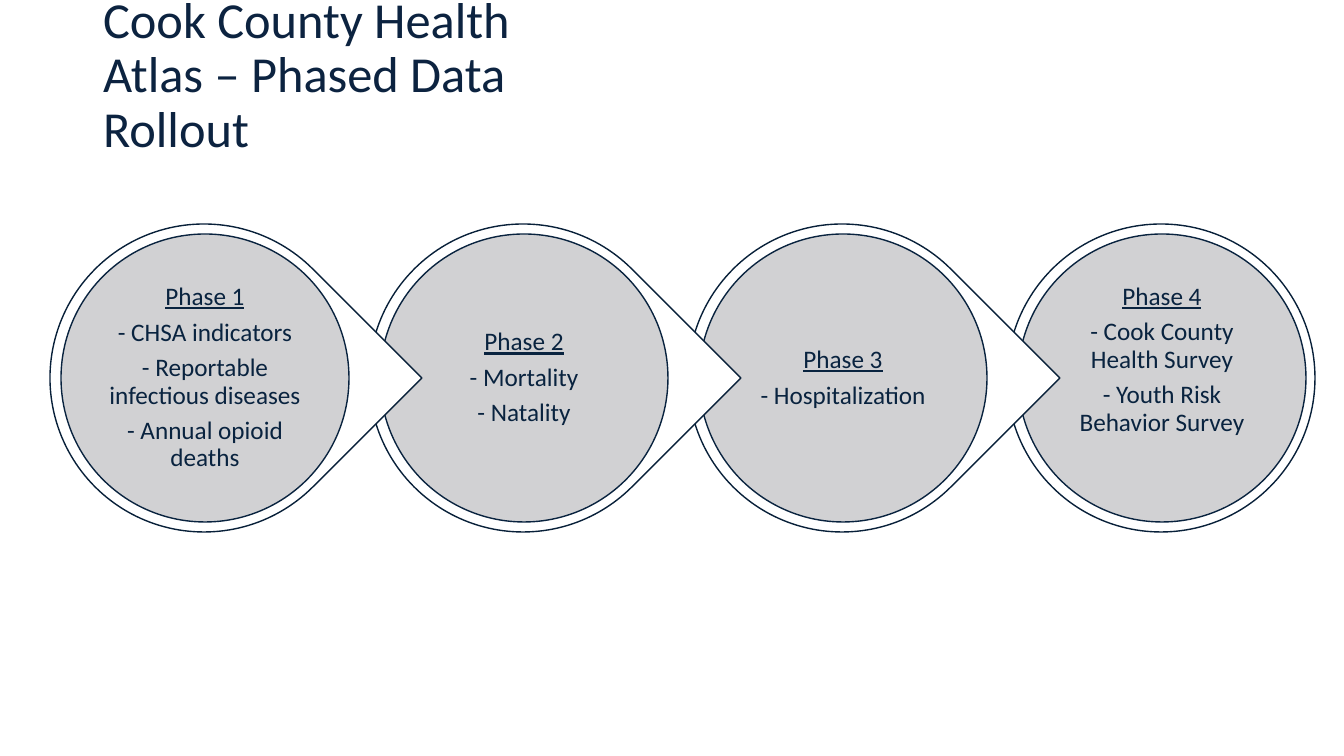
from lxml.etree import SubElement
from pptx import Presentation
from pptx.dml.color import RGBColor
from pptx.enum.shapes import MSO_SHAPE
from pptx.enum.text import MSO_ANCHOR, MSO_AUTO_SIZE, PP_ALIGN
from pptx.oxml.ns import qn
from pptx.util import Emu, Pt

NAVY = RGBColor(0x0C, 0x23, 0x40)
INK = RGBColor(0x09, 0x23, 0x3F)
OUTLINE = RGBColor(0x08, 0x20, 0x39)
GREY = RGBColor(0xCC, 0xCD, 0xCF)
WHITE = RGBColor(0xFF, 0xFF, 0xFF)
FONT = "Calibri"

# Layout in px
SLIDE_W, SLIDE_H = 1344, 756
FIRST_LEFT, PITCH, MIDDLE = 50, 319, 378
HALO, DISC, LABEL = 308, 288, 206
INSET = 3

PHASES = [
    ("Phase 1", ["- CHSA indicators", "- Reportable infectious diseases",
                 "- Annual opioid deaths"], 0),
    ("Phase 2", ["- Mortality", "- Natality"], 0),
    ("Phase 3", ["- Hospitalization"], 0),
    ("Phase 4", ["- Cook County Health Survey", "- Youth Risk Behavior Survey"], 36),
]


def px(n):
    return Emu(round(n * 914400 / 100.8))


def square(center, size):
    """Left, top, width and height of a square on the middle line."""
    return [px(n) for n in (center - size / 2, MIDDLE - size / 2, size, size)]


def add_run(p, text, size, color, underline=False):
    r = p.add_run()
    r.text = text
    r.font.name = FONT
    r.font.size = Pt(size)
    r.font.color.rgb = color
    r.font.underline = underline


def add_title(s, text):
    title = s.shapes.title
    title.left, title.top, title.width, title.height = px(93), px(43), px(458), px(67)
    tf = title.text_frame
    tf.word_wrap = True
    tf.auto_size = MSO_AUTO_SIZE.NONE
    tf.vertical_anchor = MSO_ANCHOR.MIDDLE
    p = tf.paragraphs[0]
    p.alignment = PP_ALIGN.LEFT
    p.line_spacing = 0.9
    add_run(p, text, 36, NAVY)


def add_outlined(s, kind, center, size, fill, line):
    sp = s.shapes.add_shape(kind, *square(center, size))
    sp.shadow.inherit = False
    sp.fill.solid()
    sp.fill.fore_color.rgb = fill
    sp.line.color.rgb = line
    sp.line.width = Pt(1)
    return sp


def add_halo(s, center, pointed):
    kind = MSO_SHAPE.TEAR if pointed else MSO_SHAPE.OVAL
    sp = add_outlined(s, kind, center, HALO, WHITE, OUTLINE)
    if pointed:
        sp.adjustments[0] = 1
        sp.rotation = 45


def add_disc(s, center):
    sp = add_outlined(s, MSO_SHAPE.OVAL, center, DISC, GREY, INK)
    color = sp.fill._xPr.find(qn("a:solidFill"))[0]
    SubElement(color, qn("a:alpha"), val="90000")


def add_label(s, center, heading, items, lift):
    tf = s.shapes.add_textbox(*square(center, LABEL)).text_frame
    tf.word_wrap = True
    tf.vertical_anchor = MSO_ANCHOR.MIDDLE
    tf.margin_left = tf.margin_right = tf.margin_top = px(INSET)
    tf.margin_bottom = px(INSET + lift)
    for i, text in enumerate([heading, *items]):
        p = tf.add_paragraph() if i else tf.paragraphs[0]
        p.alignment = PP_ALIGN.CENTER
        p.line_spacing = 0.9
        p.space_after = Pt(6)
        add_run(p, text, 18, INK, underline=i == 0)


def main():
    prs = Presentation()
    prs.slide_width, prs.slide_height = px(SLIDE_W), px(SLIDE_H)
    s = prs.slides.add_slide(prs.slide_layouts[5])
    add_title(s, "Cook County Health Atlas – Phased Data Rollout")

    # Phases from last to first, so each point overlaps the next circle
    last = len(PHASES) - 1
    for i in range(last, -1, -1):
        center = FIRST_LEFT + i * PITCH + HALO / 2
        add_halo(s, center, pointed=i < last)
        add_disc(s, center + 1)
        add_label(s, center + 1, *PHASES[i])

    prs.save("out.pptx")


if __name__ == "__main__":
    main()
